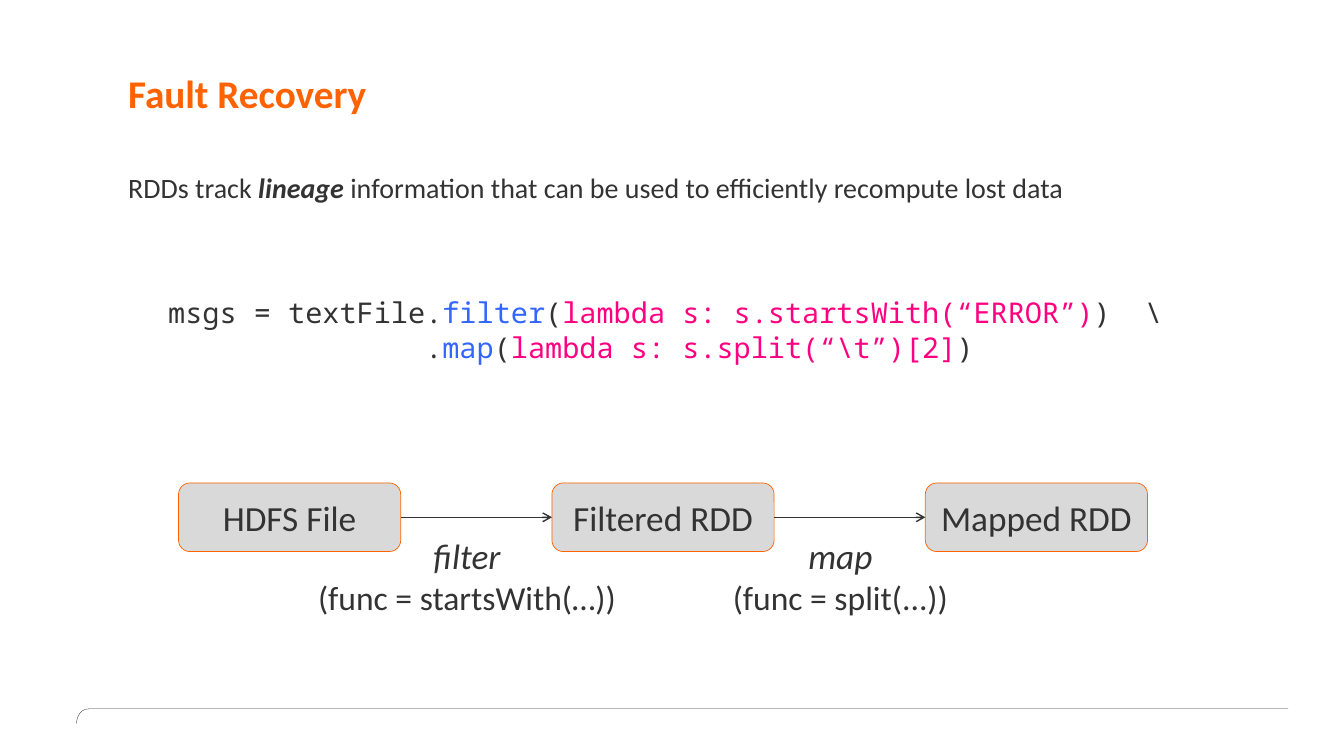
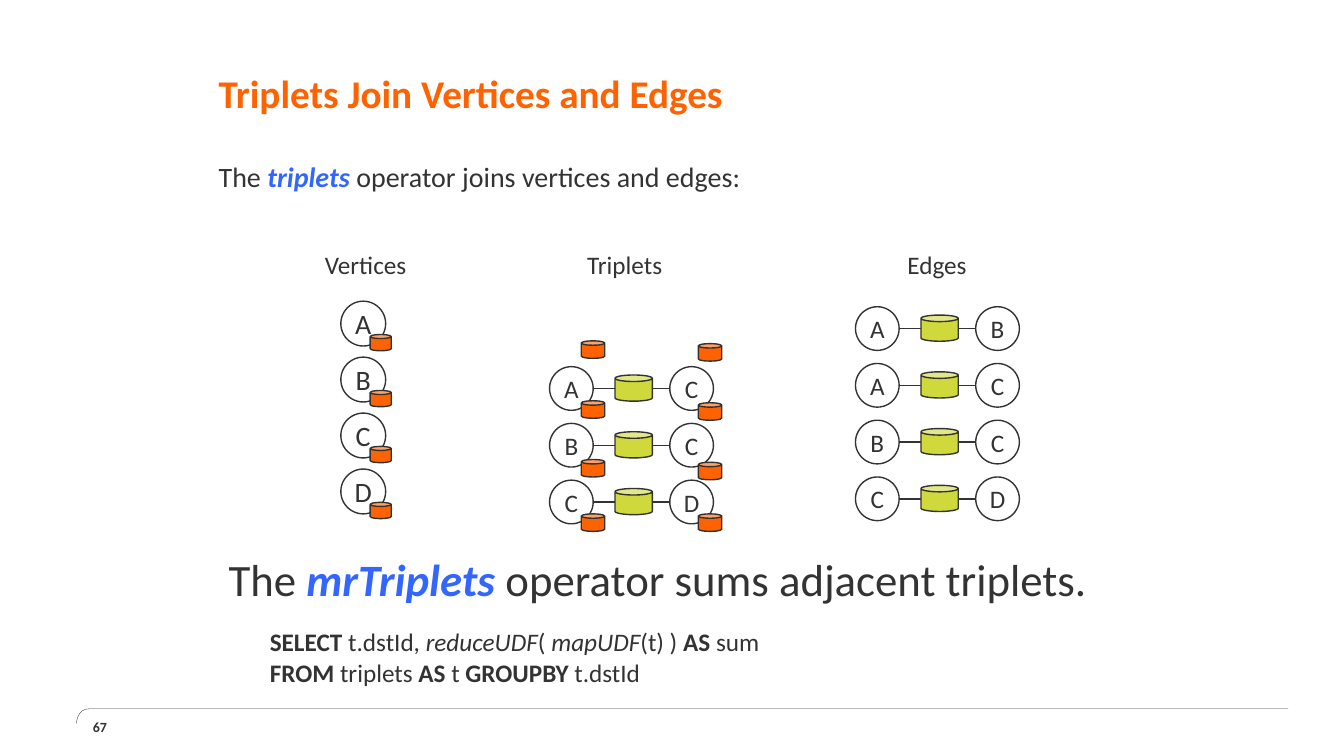
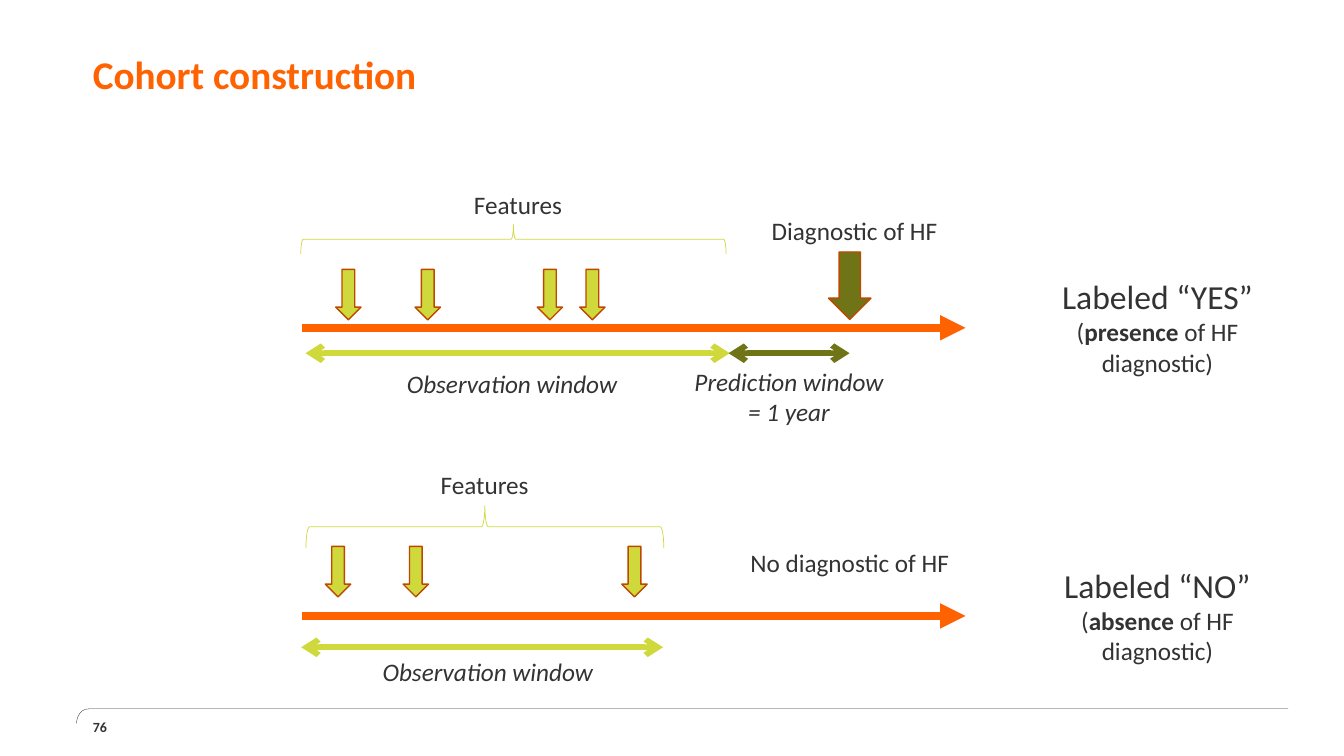
from lxml import etree
from pptx import Presentation
from pptx.dml.color import RGBColor
from pptx.enum.shapes import MSO_CONNECTOR, MSO_SHAPE
from pptx.enum.text import MSO_ANCHOR, MSO_AUTO_SIZE, PP_ALIGN
from pptx.oxml.ns import qn
from pptx.util import Cm, Pt

INK = RGBColor(0x33, 0x33, 0x33)
ORANGE = RGBColor(0xFF, 0x62, 0x00)
RUST = RGBColor(0xBD, 0x49, 0x00)
BLUE = RGBColor(0x33, 0x66, 0xFF)
PINK = RGBColor(0xFF, 0x00, 0x80)
LIME = RGBColor(0xD0, 0xD9, 0x3C)
OLIVE = RGBColor(0x6F, 0x74, 0x17)
GREY = RGBColor(0xD9, 0xD9, 0xD9)

SANS = "Calibri"
MONO = "Noto Sans Mono"
LEFT, CENTER = PP_ALIGN.LEFT, PP_ALIGN.CENTER
TOP, MIDDLE = MSO_ANCHOR.TOP, MSO_ANCHOR.MIDDLE
FIXED = MSO_AUTO_SIZE.NONE
STRAIGHT = MSO_CONNECTOR.STRAIGHT
ROUND, OVAL, CAN = MSO_SHAPE.ROUNDED_RECTANGLE, MSO_SHAPE.OVAL, MSO_SHAPE.CAN
DOWN, BRACE = MSO_SHAPE.DOWN_ARROW, MSO_SHAPE.RIGHT_BRACE

BOLD = {"bold": True}
SLANT = {"italic": True}
TERM = {"bold": True, "italic": True}
KEY = {"bold": True, "italic": True, "ink": BLUE}
CALL = {"ink": BLUE}
FUNC = {"ink": PINK}


def span(*sizes):
    """Turn centimetre numbers into lengths."""
    return [Cm(size) for size in sizes]


def write(frame, *lines, align=LEFT, anchor=TOP, inset=True, lead=None, plain=False, **look):
    """Fill a frame with lines, each a string or a list of runs."""
    frame.word_wrap = True
    frame.auto_size = FIXED
    frame.vertical_anchor = anchor
    if not inset:
        frame.margin_left = frame.margin_right = frame.margin_top = frame.margin_bottom = 0
    for count, line in enumerate(lines):
        para = frame.add_paragraph() if count else frame.paragraphs[0]
        if plain:
            props = para._p.get_or_add_pPr()
            props.set("marL", "0")
            props.set("indent", "0")
            etree.SubElement(props, qn("a:buNone"))
        para.alignment = align
        para.space_before = Pt(0)
        if lead:
            para.line_spacing = Pt(lead)
        for part in [line] if isinstance(line, str) else line:
            text, extra = (part, {}) if isinstance(part, str) else part
            style = {"size": 18, "font": SANS, "ink": INK, "bold": False, "italic": False}
            style.update(look)
            style.update(extra)
            run = para.add_run()
            run.text = text
            run.font.name = style["font"]
            run.font.size = Pt(style["size"])
            run.font.bold = style["bold"]
            run.font.italic = style["italic"]
            run.font.color.rgb = style["ink"]


def label(slide, box, *lines, **look):
    """Add a text box."""
    write(slide.shapes.add_textbox(*span(*box)).text_frame, *lines, **look)


def draw(slide, kind, box, fill=None, edge=INK, width=1):
    """Add a preset shape."""
    shape = slide.shapes.add_shape(kind, *span(*box))
    shape.shadow.inherit = False
    if fill is None:
        shape.fill.background()
    else:
        shape.fill.solid()
        shape.fill.fore_color.rgb = fill
    shape.line.color.rgb = edge
    shape.line.width = Pt(width)
    return shape


def link(slide, left, right, level, color=INK, width=1, head=None, tail=None):
    """Add a level line with optional arrowheads."""
    line = slide.shapes.add_connector(STRAIGHT, *span(left, level, right, level))
    line.line.color.rgb = color
    line.line.width = Pt(width)
    stroke = line.line._get_or_add_ln()
    for tag, kind in (("a:headEnd", head), ("a:tailEnd", tail)):
        if kind:
            etree.SubElement(stroke, qn(tag)).set("type", kind)
    etree.SubElement(line._element.spPr, qn("a:effectLst"))


def place(holder, box):
    """Move a placeholder to a box."""
    holder.left, holder.top, holder.width, holder.height = span(*box)
    return holder.text_frame


def title(slide, box, text):
    """Set the slide title."""
    write(place(slide.shapes.title, box), text, anchor=MIDDLE, inset=False,
          lead=28, size=28, ink=ORANGE, bold=True)


def body(slide, box, *lines):
    """Set the body text."""
    write(place(slide.placeholders[1], box), *lines, inset=False, lead=24, size=20, plain=True)


def number(slide, text):
    """Add the page number."""
    label(slide, (2.34, 18.06, 1.37, 0.53), text, size=10, bold=True, anchor=MIDDLE, inset=False)


def footer(deck, slide):
    """Draw the curved foot rule and hand it to the master."""
    left, top, wide, high = 1.93, 17.86, 0.33, 0.37
    steps = [n / 8 for n in range(9)]
    points = [span(left + wide * (1 - t) ** 3, top + high * (3 * (1 - t) * t * t + t ** 3))
              for t in steps]
    pen = slide.shapes.build_freeform(*span(32.46, top))
    pen.add_line_segments(points, close=False)
    rule = pen.convert_to_shape()
    rule.shadow.inherit = False
    rule.fill.background()
    rule.line.color.rgb = INK
    rule.line.width = Pt(0.25)
    deck.slide_master.shapes._spTree.append(rule._element)


def flow(slide, left, top, names, steps):
    """Draw boxes in a row, joined by labelled arrows."""
    wide, high, pitch = 5.6, 1.73, 9.41
    for n, name in enumerate(names):
        box = draw(slide, ROUND, (left + n * pitch, top, wide, high), GREY, ORANGE, 0.5)
        write(box.text_frame, name, size=25.2, align=CENTER, anchor=MIDDLE, inset=False)
    for n, (name, note, room) in enumerate(steps):
        start = left + n * pitch
        link(slide, start + wide, start + pitch, top + high / 2, tail="arrow")
        label(slide, (start + 7.27 - room / 2, top + 1.17, room, 2.36),
              [(name, {"size": 25.2, "italic": True})], note, size=24, align=CENTER)


def node(slide, left, top, wide, name, size):
    """Draw a lettered circle."""
    ring = draw(slide, OVAL, (left, top, wide, wide))
    write(ring.text_frame, name, size=size, align=CENTER, anchor=MIDDLE, inset=False)


def points(slide, left, top, names):
    """Draw a column of vertices with their data."""
    for n, name in enumerate(names):
        level = top + n * 1.41
        node(slide, left, level, 1.13, name, 20)
        draw(slide, CAN, (left + 0.74, level + 0.84, 0.53, 0.41), ORANGE)


def pairs(slide, left, top, names):
    """Draw a column of joined vertex pairs."""
    wide, shift = 1.1, 3.03
    for n, (first, last) in enumerate(names):
        level = top + n * 1.43
        link(slide, left + wide, left + shift, level + wide / 2)
        node(slide, left, level, wide, first, 18)
        node(slide, left + shift, level, wide, last, 18)
        draw(slide, CAN, (left + 1.65, level + 0.21, 0.94, 0.66), LIME)


def triples(slide, left, top, names):
    """Draw joined pairs with vertex data on both sides."""
    pairs(slide, left, top, names)
    for shift, drops in ((0.8, (-0.65, 0.86, 2.34, 3.71)), (3.75, (-0.58, 0.91, 2.41, 3.71))):
        for drop in drops:
            draw(slide, CAN, (left + shift, top + drop, 0.59, 0.44), ORANGE)


def cohort(slide, left, axis, events, rise, brace, window, notes, outcome, verdict):
    """Draw one patient timeline around its axis."""
    link(slide, left, left + 16.71, axis, ORANGE, 6, tail="triangle")
    for event in events:
        draw(slide, DOWN, (left + event, axis - rise, 0.64, 1.27), LIME, RUST)

    start, lift, wide, high = brace
    curl = draw(slide, BRACE, (left + start + (wide - high) / 2, axis - lift - (wide - high) / 2,
                               high, wide), None, LIME, 0.5)
    curl.rotation = 270

    begin, end, drop = window
    link(slide, left + begin, left + end, axis + drop, LIME, 4, "arrow", "arrow")
    (over, above), under = notes
    label(slide, (left + over, axis - above, 6.55, 1.02), "Features", align=CENTER)
    label(slide, (left + under, axis + 0.89, 6.55, 1.02), "Observation window",
          align=CENTER, italic=True)

    text, shift, above = outcome
    label(slide, (left + shift, axis - above, 7.11, 1.02), text, align=CENTER)
    answer, state = verdict
    label(slide, (left + 18.16, axis - 1.42, 6.78, 2.82),
          [(f"Labeled “{answer}”", {"size": 24})],
          ["(", (state, BOLD), " of HF diagnostic)"], align=CENTER)


def forecast(slide, left, axis):
    """Add the diagnosis and the prediction window to a timeline."""
    draw(slide, DOWN, (left + 13.26, axis - 1.91, 1.07, 1.7), OLIVE, RUST)
    link(slide, left + 10.74, left + 13.79, axis + 0.64, OLIVE, 4, "arrow", "arrow")
    label(slide, (left + 8.99, axis + 0.84, 6.55, 1.8), "Prediction window", "= 1 year",
          align=CENTER, italic=True)


def fault(slide):
    """Build the recovery slide."""
    title(slide, (3.23, 0.84, 27.43, 3.18), "Fault Recovery")
    body(slide, (3.23, 4.29, 27.69, 11.58),
         ["RDDs track ", ("lineage", TERM),
          " information that can be used to efficiently recompute lost data"])
    label(slide, (3.99, 7.32, 25.83, 2.01),
          ["msgs = textFile.", ("filter", CALL), "(",
           ("lambda s: s.startsWith(“ERROR”)", FUNC), ")  \\"],
          ["               .", ("map", CALL), "(",
           ("lambda s: s.split(“\\t”)[2]", FUNC), ")"],
          size=20.4, font=MONO)
    flow(slide, 4.5, 12.17, ("HDFS File", "Filtered RDD", "Mapped RDD"),
         (("filter", "(func = startsWith(…))", 8.23), ("map", "(func = split(...))", 6.05)))


def graph(slide):
    """Build the triplets slide."""
    title(slide, (5.51, 0.84, 22.86, 3.18), "Triplets Join Vertices and Edges")
    body(slide, (5.51, 4.01, 22.86, 1.91),
         ["The ", ("triplets ", KEY), "operator joins vertices and edges:"])
    label(slide, (5.51, 13.77, 24.99, 3.18),
          ["The ", ("mrTriplets ", KEY), "operator sums adjacent triplets."], size=32)
    label(slide, (6.55, 15.67, 21.39, 1.8),
          [("SELECT ", BOLD), "t.dstId, ", ("reduceUDF", SLANT), "( ", ("mapUDF", SLANT),
           "(t) ) ", ("AS ", BOLD), "sum"],
          [("FROM ", BOLD), "triplets ", ("AS ", BOLD), "t ", ("GROUPBY ", BOLD), "t.dstId"])
    for name, left in (("Vertices", 7.82), ("Triplets", 14.35), ("Edges", 22.22)):
        label(slide, (left, 6.15, 2.79, 1.02), name, align=CENTER)
    points(slide, 8.59, 7.59, "ABCD")
    triples(slide, 13.85, 9.24, ("AC", "BC", "CD"))
    pairs(slide, 21.56, 7.73, ("AB", "AC", "BC", "CD"))
    number(slide, "67")


def study(slide):
    """Build the cohort slide."""
    title(slide, (2.34, 0.79, 29.13, 2.36), "Cohort construction")
    left, first, second = 7.62, 8.26, 15.52
    cohort(slide, left, first, (0.84, 2.84, 5.92, 6.99), 1.47, (-0.04, 2.6, 10.72, 0.74),
           (0.08, 10.77, 0.64), ((2.16, 3.61), 2.01), ("Diagnostic of HF", 10.36, 2.97),
           ("YES", "presence"))
    forecast(slide, left, first)
    cohort(slide, left, second, (0.58, 2.54, 8.05), 1.75, (0.09, 2.78, 9.02, 1.07),
           (-0.03, 9.09, 0.79), ((1.32, 3.81), 1.4), ("No diagnostic of HF", 10.24, 1.85),
           ("NO", "absence"))
    number(slide, "76")


def main():
    """Build and save the deck."""
    deck = Presentation()
    deck.slide_width, deck.slide_height = span(33.87, 19.05)
    for build, layout in ((fault, 1), (graph, 1), (study, 5)):
        build(deck.slides.add_slide(deck.slide_layouts[layout]))
    footer(deck, deck.slides[0])
    deck.save("out.pptx")


if __name__ == "__main__":
    main()
